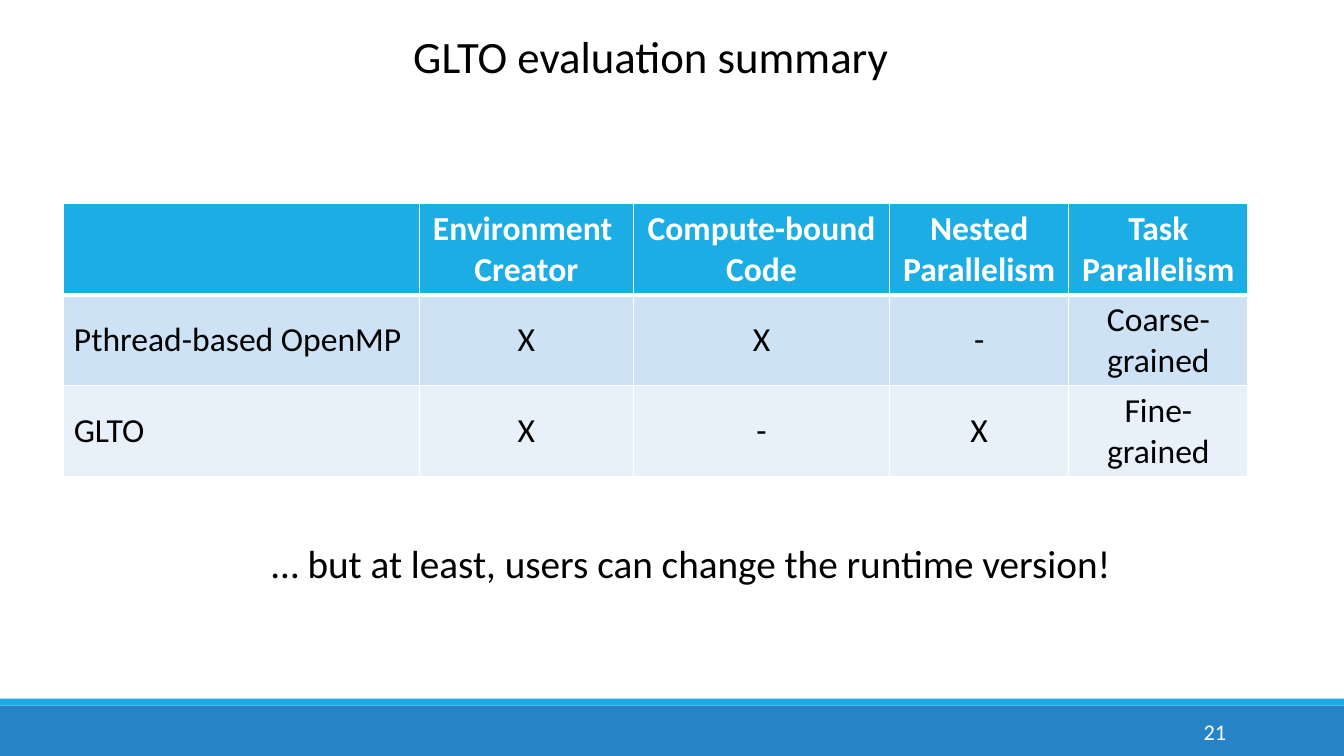
import pptx
import pptx.util
import pptx.dml.color
import pptx.enum.shapes
import pptx.enum.text
import lxml.etree

Pt = pptx.util.Pt
RGB = pptx.dml.color.RGBColor
ALIGN = pptx.enum.text.PP_ALIGN
MID = pptx.enum.text.MSO_ANCHOR.MIDDLE
RECT = pptx.enum.shapes.MSO_SHAPE.RECTANGLE
BLACK = RGB(0x00, 0x00, 0x00)
WHITE = RGB(0xFF, 0xFF, 0xFF)
CYAN = RGB(0x1C, 0xAD, 0xE4)
BLUE = RGB(0x26, 0x83, 0xC6)
SKY = RGB(0xCD, 0xE3, 0xF5)
PALE = RGB(0xE8, 0xF1, 0xFA)
NS = "http://schemas.openxmlformats.org/drawingml/2006/main"


def style(frame, size, color, align, bold=False):
    for para in frame.paragraphs:
        para.alignment = align
        para.font.name = "Calibri"
        para.font.size = Pt(size)
        para.font.color.rgb = color
        para.font.bold = bold


def border(cell, side, width):
    line = lxml.etree.SubElement(
        cell._tc.get_or_add_tcPr(), f"{{{NS}}}ln{side}", w=str(Pt(width)))
    fill = lxml.etree.SubElement(line, f"{{{NS}}}solidFill")
    lxml.etree.SubElement(fill, f"{{{NS}}}srgbClr", val=str(WHITE))


deck = pptx.Presentation()
deck.slide_width = Pt(960)
deck.slide_height = Pt(540)
slide = deck.slides.add_slide(deck.slide_layouts[6])

for top, height, color in [(504, 36, BLUE), (499, 5, CYAN)]:
    bar = slide.shapes.add_shape(RECT, 0, Pt(top), Pt(960), Pt(height))
    bar.shadow.inherit = False
    bar.fill.solid()
    bar.fill.fore_color.rgb = color
    bar.line.fill.background()

labels = [
    ("GLTO evaluation summary ", 138, 16.5, 661, 46, 32, BLACK, ALIGN.CENTER, True),
    ("21", 780, 508, 103, 29, 16, WHITE, ALIGN.RIGHT, True),
    ("… but at least, users can change the runtime version!",
     187, 381.5, 621, 41, 28, BLACK, ALIGN.LEFT, False),
]
for text, left, top, width, height, size, color, align, wrap in labels:
    box = slide.shapes.add_textbox(Pt(left), Pt(top), Pt(width), Pt(height))
    frame = box.text_frame
    frame.word_wrap = wrap
    frame.vertical_anchor = MID
    frame.text = text
    style(frame, size, color, align)

rows = [
    ["", "Environment \nCreator", "Compute-bound\nCode",
     "Nested Parallelism", "Task Parallelism"],
    ["Pthread-based OpenMP", "X", "X", "-", "Coarse-grained"],
    ["GLTO", "X", "-", "X", "Fine-grained"],
]
widths = [254, 153, 183, 128, 128]
fills = [CYAN, SKY, PALE]
grid = slide.shapes.add_table(
    len(rows), len(widths), Pt(45.5), Pt(145.5), Pt(sum(widths)), Pt(195)).table
for col, width in zip(grid.columns, widths):
    col.width = Pt(width)
for r, row in enumerate(rows):
    grid.rows[r].height = Pt(65)
    head = r == 0
    for c, text in enumerate(row):
        cell = grid.cell(r, c)
        cell.text = text
        cell.vertical_anchor = MID
        style(cell.text_frame, 24, WHITE if head else BLACK,
              ALIGN.CENTER if c else ALIGN.LEFT, head)
        for side in "LRTB":
            thick = (r, side) in [(0, "B"), (1, "T")]
            border(cell, side, 3 if thick else 1)
        cell.fill.solid()
        cell.fill.fore_color.rgb = fills[r]

deck.save("out.pptx")
